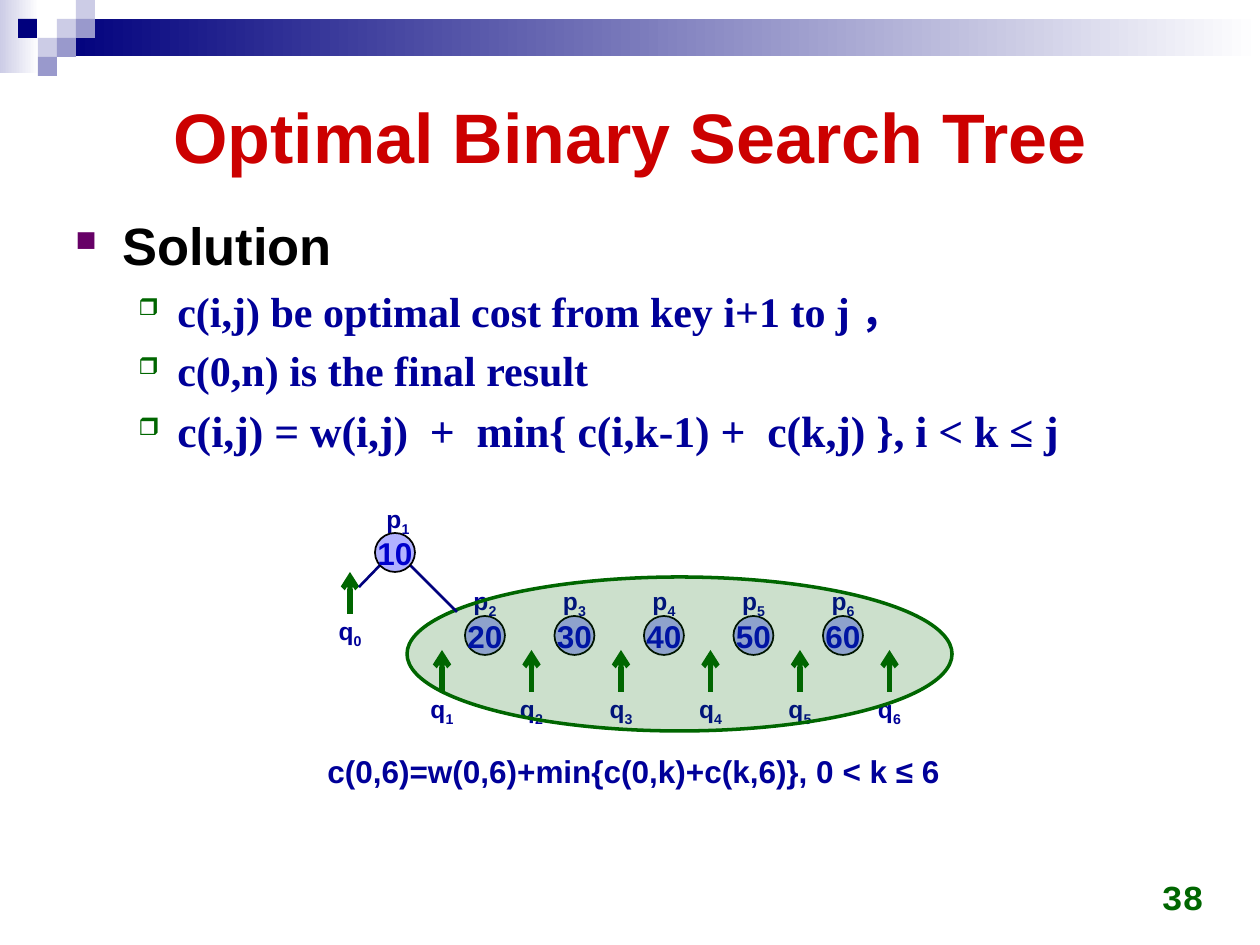
from lxml import etree
from pptx import Presentation, util as u
from pptx.dml.color import RGBColor
from pptx.enum import shapes, text
from pptx.oxml.ns import qn

HUES = {"navy": "00007D", "pale": "CCCCE6", "mid": "9999CC", "white": "FFFFFF",
        "red": "CC0000", "black": "000000", "ink": "000099", "plum": "660066",
        "green": "006600", "node": "B2B2FF", "blue": "0000CC"}
FADES = [((0, 0, 39, 73), "pale", "white"), ((57, 19, 1203, 37), "navy", "white")]
TILES = [(57, 19, "pale"), (76, 0, "pale"), (76, 19, "mid"), (38, 38, "pale"),
         (18, 19, "navy"), (57, 38, "mid"), (38, 57, "mid")]
TITLE = "Optimal Binary Search Tree"
HEAD = "Solution"
POINTS = [("c(i,j) be optimal cost from key i+1 to j ，", 24),
          ("c(0,n) is the final result", 24),
          ("c(i,j) = w(i,j)  +  min{ c(i,k-1) +  c(k,j) }, i < k ≤ j", 25)]
KEYS = ["20", "30", "40", "50", "60"]
ROOT = "10"
COST = "c(0,6)=w(0,6)+min{c(0,k)+c(k,6)}, 0 < k ≤ 6"
PAGE = "38"
EDGES = [(407, 562, 457, 612), (387, 558, 359, 587)]
STEP = 89.5

deck = Presentation()


def px(n):
    return round(n * 914400 / 126)


def hue(name):
    return RGBColor.from_string(HUES[name])


deck.slide_width, deck.slide_height = px(1260), px(945)
slide = deck.slides.add_slide(deck.slide_layouts[6])
KINDS = shapes.MSO_SHAPE
LEFT, MID, RIGHT = text.PP_ALIGN.LEFT, text.PP_ALIGN.CENTER, text.PP_ALIGN.RIGHT
TOP, CORE, LOW = text.MSO_ANCHOR.TOP, text.MSO_ANCHOR.MIDDLE, text.MSO_ANCHOR.BOTTOM


def shape(kind, box, fill, line=None, width=1):
    item = slide.shapes.add_shape(kind, *map(px, box))
    item.shadow.inherit = False
    item.fill.solid()
    item.fill.fore_color.rgb = hue(fill)
    if line:
        item.line.color.rgb = hue(line)
        item.line.width = u.Pt(width)
    else:
        item.line.fill.background()
    return item


def frame(box, anchor=TOP, wrap=True):
    tf = slide.shapes.add_textbox(*map(px, box)).text_frame
    tf.word_wrap = wrap
    tf.vertical_anchor = anchor
    return tf


def write(para, words, size=14, font="Arial", color="ink", align=LEFT, sub=None):
    para.alignment = align
    for part in filter(None, (words, sub)):
        run = para.add_run()
        run.text = part
        run.font.size, run.font.name, run.font.bold = u.Pt(size), font, True
        run.font.color.rgb = hue(color)
        if part is sub:
            run._r.get_or_add_rPr().set("baseline", "-25000")


def bullet(para, mark, color, left, hang):
    props = para._p.get_or_add_pPr()
    props.set("marL", str(px(left)))
    props.set("indent", str(-px(hang)))
    tint = etree.SubElement(props, qn("a:buClr"))
    etree.SubElement(tint, qn("a:srgbClr"), val=HUES[color])
    etree.SubElement(props, qn("a:buSzPct"), val="55000")
    etree.SubElement(props, qn("a:buChar"), char=mark)


def item(para, words, size, font, color, mark, tint, left, hang):
    write(para, words, size=size, font=font, color=color)
    para.line_spacing = 1.05
    para.space_before = u.Pt(size * 0.15)
    bullet(para, mark, tint, left, hang)


def line(ends, color, width, arrow=False):
    link = slide.shapes.add_connector(shapes.MSO_CONNECTOR.STRAIGHT, *map(px, ends))
    link.line.color.rgb = hue(color)
    link.line.width = u.Pt(width)
    if arrow:
        etree.SubElement(link.line._get_or_add_ln(), qn("a:tailEnd"), type="arrow")
    etree.SubElement(link._element.spPr, qn("a:effectLst"))


def label(x, y, name, index):
    tf = frame((x, y, 50, 43), wrap=False)
    write(tf.paragraphs[0], name, align=MID, sub=str(index))


def node(x, y, key):
    tf = shape(KINDS.OVAL, (x, y, 40, 39), "node", "black").text_frame
    tf.word_wrap = False
    tf.vertical_anchor = CORE
    write(tf.paragraphs[0], key, size=18, color="blue", align=MID)


def leaf(x, y, index):
    line((x, y + 42, x, y), "green", 3, arrow=True)
    label(x - 25, y + 38, "q", index)


def main():
    for box, start, end in FADES:
        fill = shape(KINDS.RECTANGLE, box, start).fill
        fill.gradient()
        fill.gradient_angle = 0
        for stop, name in zip(fill.gradient_stops, (start, end)):
            stop.color.rgb = hue(name)
    for x, y, name in TILES:
        shape(KINDS.RECTANGLE, (x, y, 19, 19), name)

    write(frame((63, 63, 1134, 146), CORE).paragraphs[0], TITLE,
          size=40, color="red", align=MID)
    body = frame((63, 204, 1134, 655))
    item(body.paragraphs[0], HEAD, 30, "Arial", "black", "■", "plum", 47, 47)
    for words, size in POINTS:
        item(body.add_paragraph(), words, size, "Times New Roman", "ink",
             "❒", "green", 102, 39)
    write(frame((922, 861, 294, 63), LOW).paragraphs[0], PAGE,
          size=20, font="Courier New", color="green", align=RIGHT)

    for i, key in enumerate(KEYS):
        node(465 + i * STEP, 616, key)
        label(460 + i * STEP, 580, "p", i + 2)
    label(373, 498, "p", 1)
    leaf(350, 572, 0)
    for i in range(6):
        leaf(442 + i * STEP, 650, i + 1)
    write(frame((315, 746, 653, 50), wrap=False).paragraphs[0], COST, size=18)

    group = shape(KINDS.OVAL, (407, 577, 545, 154), "green", "green", 2)
    tint = group._element.spPr.find(qn("a:solidFill"))[0]
    etree.SubElement(tint, qn("a:alpha"), val="20000")
    for ends in EDGES:
        line(ends, "navy", 1.5)
    node(375, 533, ROOT)
    deck.save("out.pptx")


if __name__ == "__main__":
    main()
